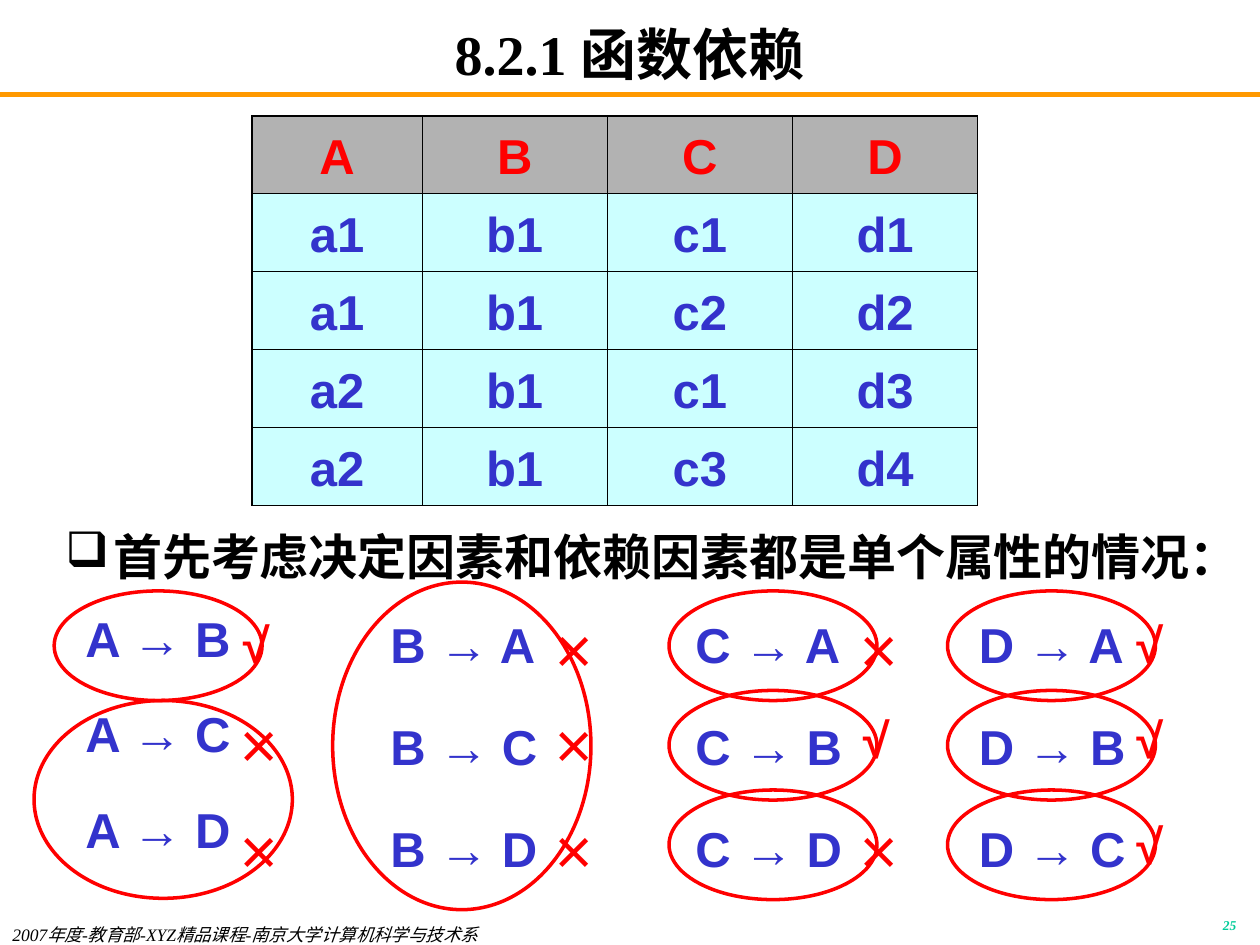
from lxml import etree
from pptx import Presentation
from pptx.dml.color import RGBColor
from pptx.enum.shapes import MSO_CONNECTOR, MSO_SHAPE
from pptx.enum.text import MSO_ANCHOR, PP_ALIGN
from pptx.oxml.ns import qn
from pptx.util import Inches, Pt

LEFT, MID, RIGHT = PP_ALIGN.LEFT, PP_ALIGN.CENTER, PP_ALIGN.RIGHT
TOP, CENTER = MSO_ANCHOR.TOP, MSO_ANCHOR.MIDDLE
OVAL, RECT = MSO_SHAPE.OVAL, MSO_SHAPE.RECTANGLE
STRAIGHT = MSO_CONNECTOR.STRAIGHT

TITLE = "8.2.1 函数依赖"
LEAD = "首先考虑决定因素和依赖因素都是单个属性的情况："
FOOT = "2007年度-教育部-XYZ精品课程-南京大学计算机科学与技术系"
PAGE = "25"
ROWS = [
    ["A", "B", "C", "D"],
    ["a1", "b1", "c1", "d1"],
    ["a1", "b1", "c2", "d2"],
    ["a2", "b1", "c1", "d3"],
    ["a2", "b1", "c3", "d4"],
]
RULES = [
    dict(key="A", deps="BCD", marks="√☓☓", left=0.58, size=(2.08, 2.17), pitch=0.9, mark=1.83),
    dict(key="B", deps="ACD", marks="☓☓☓", left=3, size=(2, 2.42), pitch=1, mark=4.33),
    dict(key="C", deps="ABD", marks="☓√☓", left=5.42, size=(1.92, 2.42), pitch=1, mark=6.75),
    dict(key="D", deps="ABC", marks="√√√", left=7.67, size=(2, 2.42), pitch=1, mark=8.92),
]
TICKS = [4.83, 5.58, 6.42]
RING = (1.65, 0.87)
RINGS = [(2.64, 4.62, 2.05, 2.6), (0.27, 5.56, 2.05, 1.57), (0.43, 4.69, *RING)]
RINGS += [(x, 4.69 + 0.79 * i, *RING) for x in (5.31, 7.52) for i in range(3)]

THEME = dict(
    serif="Times New Roman", sans="Arial",
    ink="000000", red="FF0000", blue="3333CC", rule="FF9900", page="00CC99",
    head="B2B2B2", cell="CCFFFF", paper="FFFFFF",
    title=32, body=28, cross=24, foot=10, num=7.7,
)


def tint(name):
    return RGBColor.from_string(THEME[name])


def style(para, size, face="serif", color="ink", bold=True, slant=False, align=LEFT, pitch=1, gap=0):
    para.alignment = align
    para.line_spacing = pitch
    para.space_before = Pt(gap)
    font = para.font
    font.size, font.name = Pt(THEME[size]), THEME[face]
    font.bold, font.italic = bold, slant
    font.color.rgb = tint(color)


def frame(shape, pad=0.05, anchor=TOP):
    text = shape.text_frame
    text.word_wrap = True
    text.vertical_anchor = anchor
    text.margin_left = text.margin_right = Inches(0.1)
    text.margin_top = text.margin_bottom = Inches(pad)
    return text


def label(slide, box, words, size, pad=0.05, anchor=TOP, **look):
    shape = slide.shapes.add_textbox(*map(Inches, box))
    para = frame(shape, pad, anchor).paragraphs[0]
    para.text = words
    style(para, size, **look)
    return para


def bullet(para, sign):
    props = para._p.get_or_add_pPr()
    props.set("marL", str(Inches(0.38)))
    props.set("indent", str(-Inches(0.38)))
    color = etree.SubElement(props, qn("a:buClr"))
    etree.SubElement(color, qn("a:srgbClr"), val=THEME["ink"])
    etree.SubElement(props, qn("a:buChar"), char=sign)


def edge(cell, side, width):
    line = etree.SubElement(cell._tc.get_or_add_tcPr(), qn("a:ln" + side), w=str(Pt(width)))
    fill = etree.SubElement(line, qn("a:solidFill"))
    etree.SubElement(fill, qn("a:srgbClr"), val=THEME["ink"])


def grid(slide):
    high, wide = len(ROWS), len(ROWS[0])
    box = map(Inches, (2, 0.92, 5.75, 3.08))
    table = slide.shapes.add_table(high, wide, *box).table
    for i, col in enumerate(table.columns):
        col.width = Inches(1.47 if i else 1.35)
    for r, words in enumerate(ROWS):
        table.rows[r].height = Inches(0.62 if r else 0.59)
        for c, word in enumerate(words):
            cell = table.cell(r, c)
            outer = dict(L=c == 0, R=c == wide - 1, T=r == 0, B=r == high - 1)
            for side, rim in outer.items():
                edge(cell, side, 1.08 if rim else 0.45)
            cell.fill.solid()
            cell.fill.fore_color.rgb = tint("cell" if r else "head")
            cell.vertical_anchor = CENTER
            cell.text = word
            style(cell.text_frame.paragraphs[0], "body", "sans",
                  "blue" if r else "red", align=MID, pitch=1.1)


def panel(slide, rule):
    box = (rule["left"], TICKS[0], *rule["size"])
    shape = slide.shapes.add_shape(RECT, *map(Inches, box))
    shape.shadow.inherit = False
    shape.fill.solid()
    shape.fill.fore_color.rgb = tint("paper")
    shape.line.fill.background()
    text = frame(shape)
    for i, dep in enumerate(rule["deps"]):
        para = text.add_paragraph() if i else text.paragraphs[0]
        para.text = f"{rule['key']} → {dep}"
        style(para, "body", "sans", "blue", pitch=rule["pitch"], gap=24.5 if i else 0)


def marks(slide, rule):
    for top, sign in zip(TICKS, rule["marks"]):
        if sign == "√":
            label(slide, (rule["mark"], top, 0.67, 0.67), sign, "body", face="sans", color="red")
        else:
            label(slide, (rule["mark"], top + 0.08, 0.67, 0.58), sign, "cross", color="red")


def ring(slide, box):
    shape = slide.shapes.add_shape(OVAL, *map(Inches, box))
    shape.shadow.inherit = False
    shape.fill.background()
    shape.line.color.rgb = tint("red")
    shape.line.width = Pt(2)


def main():
    deck = Presentation()
    deck.slide_width, deck.slide_height = Inches(10), Inches(7.5)
    slide = deck.slides.add_slide(deck.slide_layouts[6])

    bar = slide.shapes.add_connector(STRAIGHT, *map(Inches, (0, 0.75, 10, 0.75)))
    bar.line.color.rgb = tint("rule")
    bar.line.width = Pt(3)
    etree.SubElement(bar._element.spPr, qn("a:effectLst"))

    label(slide, (7.83, 7.25, 2.08, 0.25), PAGE, "num", color="page",
          slant=True, align=RIGHT, pitch=0.8)
    label(slide, (0, 7.33, 5.5, 0.17), FOOT, "foot", pad=0, bold=False, slant=True)
    label(slide, (0.75, 0.17, 8.5, 0.5), TITLE, "title", pad=0, anchor=CENTER, align=MID)
    lead = label(slide, (0.42, 4.08, 9.58, 0.67), LEAD, "body", pitch=1.1)
    bullet(lead, "❑")

    grid(slide)
    for part in (panel, marks):
        for rule in RULES:
            part(slide, rule)
    for box in RINGS:
        ring(slide, box)
    deck.save("out.pptx")


if __name__ == "__main__":
    main()
